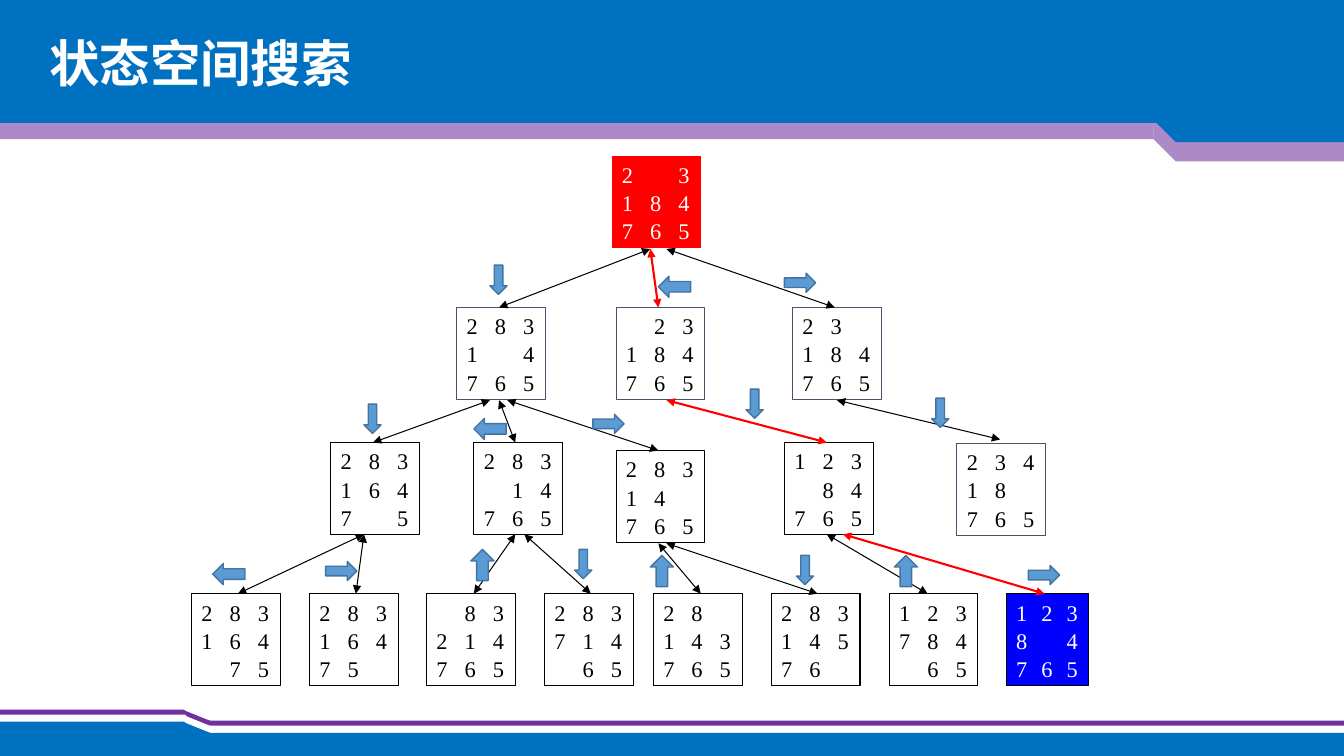
from lxml.etree import SubElement
from pptx import Presentation
from pptx.dml.color import RGBColor
from pptx.enum.shapes import MSO_CONNECTOR, MSO_SHAPE as SHAPE
from pptx.enum.text import MSO_ANCHOR
from pptx.oxml.ns import qn
from pptx.util import Inches, Pt

COLORS = {
    "blue": "0070C0", "purple": "7030A0", "white": "FFFFFF", "black": "000000",
    "red": "FF0000", "goal": "0000FF", "slate": "44546A",
    "move": "5B9BD5", "move_line": "43739E",
}
TITLE_FONT, DIGIT_FONT = "Noto Sans CJK SC", "Times New Roman"
BOARD_W, BOARD_H = 0.88, 0.91
LEVEL_1, LEVEL_2, LEVEL_3 = 3.05, 4.39, 5.89

# rows, left, top, line colour
STATES = [
    ("283/1_4/765", 4.53, LEVEL_1, "slate"),
    ("_23/184/765", 6.11, LEVEL_1, "slate"),
    ("23_/184/765", 7.86, LEVEL_1, "slate"),
    ("283/164/7_5", 3.28, LEVEL_2, "black"),
    ("283/_14/765", 4.7, LEVEL_2, "black"),
    ("283/14_/765", 6.11, 4.47, "black"),
    ("123/_84/765", 7.78, LEVEL_2, "black"),
    ("234/18_/765", 9.49, 4.4, "slate"),
    ("283/164/_75", 1.9, LEVEL_3, "black"),
    ("283/164/75_", 3.07, LEVEL_3, "black"),
    ("_83/214/765", 4.23, LEVEL_3, "black"),
    ("283/714/_65", 5.4, LEVEL_3, "black"),
    ("28_/143/765", 6.48, LEVEL_3, "black"),
    ("283/145/76_", 7.65, LEVEL_3, "black"),
    ("123/784/_65", 8.82, LEVEL_3, "black"),
]
EDGES = [
    (4.95, LEVEL_1, 6.45, 2.47), (8.28, LEVEL_1, 6.61, 2.47),
    (3.7, LEVEL_2, 4.86, 3.97), (5.11, LEVEL_2, 4.95, 3.97),
    (6.53, 4.47, 5.03, 3.97), (9.92, 4.36, 8.3, 3.97),
    (2.36, LEVEL_3, 3.61, 5.3), (3.53, LEVEL_3, 3.61, 5.3),
    (4.7, LEVEL_3, 5.11, 5.3), (5.86, LEVEL_3, 5.2, 5.3),
    (6.95, LEVEL_3, 6.53, 5.39), (8.11, LEVEL_3, 6.61, 5.39),
    (9.2, LEVEL_3, 8.2, 5.3),
]
SOLUTION = [
    (6.53, LEVEL_1, 6.45, 2.47), (8.2, LEVEL_2, 6.61, 3.97),
    (10.36, LEVEL_3, 8.36, 5.3),
]
# shape, width, height, places
MOVES = [
    (SHAPE.DOWN_ARROW, 0.17, 0.29, [(4.86, 2.63), (3.61, 4.01), (7.4, 3.86),
                                    (9.24, 3.95), (5.7, 5.45), (7.9, 5.51)]),
    (SHAPE.UP_ARROW, 0.23, 0.31, [(4.67, 5.45), (6.45, 5.51), (8.87, 5.51)]),
    (SHAPE.LEFT_ARROW, 0.32, 0.21, [(6.53, 2.74), (4.7, 4.15), (2.11, 5.59)]),
    (SHAPE.RIGHT_ARROW, 0.31, 0.19, [(7.78, 2.71), (5.88, 4.11),
                                     (3.23, 5.57), (10.2, 5.61)]),
]


def rgb(name):
    """Return the named colour."""
    return RGBColor.from_string(COLORS[name])


def add_block(s, kind, x, y, w, h, fill, line=None, weight=0.75, turn=0, alpha=None):
    """Draw a preset shape with a flat fill and an optional outline."""
    sp = s.shapes.add_shape(kind, Inches(x), Inches(y), Inches(w), Inches(h))
    sp.shadow.inherit = False
    sp.rotation = turn
    sp.fill.solid()
    sp.fill.fore_color.rgb = rgb(fill)
    if alpha:
        color = sp._element.spPr.find(qn("a:solidFill"))[0]
        SubElement(color, qn("a:alpha"), val=str(alpha * 1000))
    if line:
        sp.line.color.rgb = rgb(line)
        sp.line.width = Pt(weight)
    else:
        sp.line.fill.background()
    return sp


def write(p, text, size=16, font=DIGIT_FONT, color="black", bold=False):
    """Add one formatted run to a paragraph."""
    r = p.add_run()
    r.text = text
    r.font.size, r.font.name, r.font.bold = Pt(size), font, bold
    r.font.color.rgb = rgb(color)
    SubElement(r._r.get_or_add_rPr(), qn("a:ea"), typeface=font)


def add_board(s, rows, x, y, line, fill="white", color="black", w=BOARD_W, pitch=0.28):
    """Draw a puzzle state with its digits on tab stops."""
    sp = add_block(s, SHAPE.RECTANGLE, x, y, w, BOARD_H, fill, line)
    tf = sp.text_frame
    tf.word_wrap = True
    tf.vertical_anchor = MSO_ANCHOR.MIDDLE
    tf.margin_left, tf.margin_right = Inches(0.1), 0
    for i, row in enumerate(rows.split("/")):
        p = tf.paragraphs[0] if i == 0 else tf.add_paragraph()
        p.line_spacing = 1.05
        pPr = p._p.get_or_add_pPr()
        pPr.set("algn", "l")
        tabs = SubElement(pPr, qn("a:tabLst"))
        for stop in (1, 2):
            SubElement(tabs, qn("a:tab"), pos=str(Inches(stop * pitch)), algn="l")
        write(p, "\t".join(row).replace("_", "").rstrip(), color=color)


def add_edge(s, x1, y1, x2, y2, color="black", weight=0.75):
    """Join a state to its parent with a two-headed line."""
    cn = s.shapes.add_connector(MSO_CONNECTOR.STRAIGHT, Inches(x1), Inches(y1),
                                Inches(x2), Inches(y2))
    cn.line.color.rgb = rgb(color)
    cn.line.width = Pt(weight)
    ln = cn.line._get_or_add_ln()
    for end in ("a:headEnd", "a:tailEnd"):
        SubElement(ln, qn(end), type="triangle")
    SubElement(cn._element.spPr, qn("a:effectLst"))


def add_footer(s):
    """Layer the three stepped bands at the bottom."""
    for x, y, fill in ((-0.02, 7.04, "purple"), (-0.01, 7.09, "white"), (-0.02, 7.16, "blue")):
        add_block(s, SHAPE.SNIP_1_RECTANGLE, x, y, 1.9, 0.32, fill)
        add_block(s, SHAPE.RECTANGLE, x, y + 0.11, 13.37, 0.23, fill)
        add_block(s, SHAPE.RIGHT_TRIANGLE, 1.81, y, 0.62, 0.25, fill)


def add_header(s):
    """Draw the stepped title band and its title."""
    for kind, x, y, w, h, fill, alpha in (
        (SHAPE.SNIP_1_RECTANGLE, 11.44, 0.28, 1.9, 1.32, "purple", 57),
        (SHAPE.RECTANGLE, -0.03, 0.14, 11.47, 1.24, "purple", 57),
        (SHAPE.SNIP_1_RECTANGLE, 11.44, 0.09, 1.9, 1.32, "blue", None),
        (SHAPE.RECTANGLE, -0.04, -0.02, 13.39, 1.24, "blue", None),
        (SHAPE.RIGHT_TRIANGLE, 10.9, 0.37, 0.75, 0.99, "blue", None),
    ):
        add_block(s, kind, x, y, w, h, fill, turn=180, alpha=alpha)
    tb = s.shapes.add_textbox(Inches(0.39), Inches(0.27), Inches(8.34), Inches(0.7))
    tb.text_frame.word_wrap = True
    write(tb.text_frame.paragraphs[0], "状态空间搜索", size=36, font=TITLE_FONT,
          color="white", bold=True)


def main():
    """Build the state space slide."""
    prs = Presentation()
    prs.slide_width, prs.slide_height = Inches(13.33), Inches(7.5)
    s = prs.slides.add_slide(prs.slide_layouts[6])
    add_footer(s)
    add_header(s)
    add_board(s, "2_3/184/765", 6.07, 1.55, "red", fill="red", color="white")
    for state in STATES:
        add_board(s, *state)
    add_board(s, "123/8_4/765", 9.98, LEVEL_3, "black", fill="goal",
              color="white", w=0.82, pitch=0.25)
    for edge in EDGES:
        add_edge(s, *edge)
    for edge in SOLUTION:
        add_edge(s, *edge, color="red", weight=1.5)
    for kind, w, h, places in MOVES:
        for x, y in places:
            add_block(s, kind, x, y, w, h, "move", "move_line", weight=1)
    prs.save("out.pptx")


if __name__ == "__main__":
    main()
